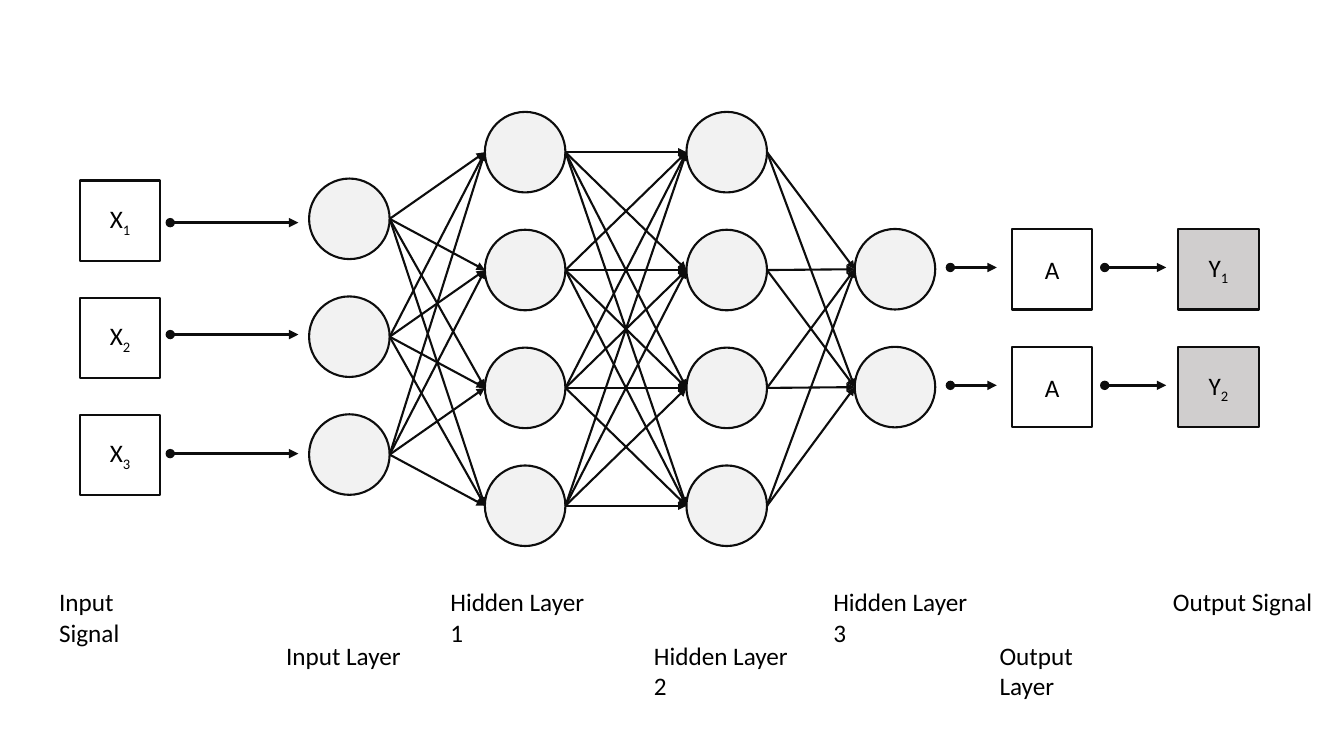
import itertools

import pptx
import pptx.dml.color
import pptx.enum.shapes
import pptx.enum.text
import pptx.oxml.ns
import pptx.util
from lxml import etree
from pptx.util import Cm

INK = "0D0D0D"
WHITE = "FFFFFF"
NEURON = "F2F2F2"
OUTPUT = "D0CECE"
SIZE = 2.03  # side of a box, diameter of a neuron
PITCH = 2.97  # distance between rows


def color(hex_code):
    return pptx.dml.color.RGBColor.from_string(hex_code)


def add_run(paragraph, text, subscript=False):
    run = paragraph.add_run()
    run.text = text
    run.font.size = pptx.util.Pt(18)
    run.font.name = "Calibri"
    run.font.color.rgb = color("000000")
    if subscript:
        run.font._element.set("baseline", "-25000")


def add_node(slide, preset, left, top, fill):
    node = slide.shapes.add_shape(preset, Cm(left), Cm(top), Cm(SIZE), Cm(SIZE))
    node.shadow.inherit = False
    node.fill.solid()
    node.fill.fore_color.rgb = color(fill)
    node.line.color.rgb = color(INK)
    node.line.width = pptx.util.Pt(1.5)
    return node


def add_box(slide, left, top, fill, letter, index=""):
    preset = pptx.enum.shapes.MSO_SHAPE.RECTANGLE
    box = add_node(slide, preset, left, top, fill)
    box.text_frame.vertical_anchor = pptx.enum.text.MSO_ANCHOR.MIDDLE
    paragraph = box.text_frame.paragraphs[0]
    paragraph.alignment = pptx.enum.text.PP_ALIGN.CENTER
    add_run(paragraph, letter)
    if index:
        add_run(paragraph, index, subscript=True)


def add_arrow(slide, start, end, width, head=None):
    arrow = slide.shapes.add_connector(
        pptx.enum.shapes.MSO_CONNECTOR.STRAIGHT,
        *(Cm(value) for value in (*start, *end)))
    arrow.line.color.rgb = color(INK)
    arrow.line.width = pptx.util.Pt(width)
    qn = pptx.oxml.ns.qn
    outline = arrow.line._get_or_add_ln()
    if head:
        etree.SubElement(outline, qn("a:headEnd"), type=head)
    etree.SubElement(outline, qn("a:tailEnd"), type="triangle")
    etree.SubElement(arrow._element.spPr, qn("a:effectLst"))


def add_signal(slide, left, right, y):
    add_arrow(slide, (left, y), (right, y), 2.25, head="oval")


def add_label(slide, left, top, width, text):
    label = slide.shapes.add_textbox(Cm(left), Cm(top), Cm(width), Cm(1.02))
    label.text_frame.word_wrap = False
    label.text_frame.auto_size = pptx.enum.text.MSO_AUTO_SIZE.SHAPE_TO_FIT_TEXT
    add_run(label.text_frame.paragraphs[0], text)


def add_network(slide):
    # Left edge, top of the first neuron and number of neurons per layer
    layers = [
        [(left, first_top + row * PITCH) for row in range(count)]
        for left, first_top, count in [
            (7.79, 4.5, 3), (12.22, 2.82, 4), (17.3, 2.82, 4), (21.54, 5.77, 2)]
    ]
    for left, top in itertools.chain.from_iterable(layers):
        add_node(slide, pptx.enum.shapes.MSO_SHAPE.OVAL, left, top, NEURON)

    # Every neuron feeds every neuron of the next layer
    for sources, targets in zip(layers, layers[1:]):
        for source, target in itertools.product(sources, targets):
            add_arrow(slide,
                      (source[0] + SIZE, source[1] + SIZE / 2),
                      (target[0], target[1] + SIZE / 2), 1.5)


def main():
    deck = pptx.Presentation()
    deck.slide_width, deck.slide_height = Cm(33.87), Cm(19.05)
    slide = deck.slides.add_slide(deck.slide_layouts[6])

    # Input signals
    for row, signal_y in enumerate((5.61, 8.43, 11.43)):
        add_box(slide, 2.01, 4.55 + row * 2.95, WHITE, "X", str(row + 1))
        add_signal(slide, 4.29, 7.52, signal_y)

    # Output layer and output signals
    for row in range(2):
        top = 5.77 + row * PITCH
        add_box(slide, 25.5, top, WHITE, "A")
        add_box(slide, 29.69, top, OUTPUT, "Y", str(row + 1))
        signal_y = 6.74 + row * PITCH
        add_signal(slide, 23.95, 25.12, signal_y)
        add_signal(slide, 27.84, 29.39, signal_y)

    add_network(slide)

    # Captions, alternating between an upper and a lower line
    captions = [
        (1.24, 3.53, "Input Signal"),
        (6.96, 3.4, "Input Layer"),
        (11.1, 4.34, "Hidden Layer 1"),
        (16.23, 4.34, "Hidden Layer 2"),
        (20.75, 4.34, "Hidden Layer 3"),
        (24.94, 3.86, "Output Layer"),
        (29.31, 4.01, "Output Signal"),
    ]
    for (left, width, text), top in zip(captions, itertools.cycle((14.66, 16))):
        add_label(slide, left, top, width, text)

    deck.save("out.pptx")


if __name__ == "__main__":
    main()
